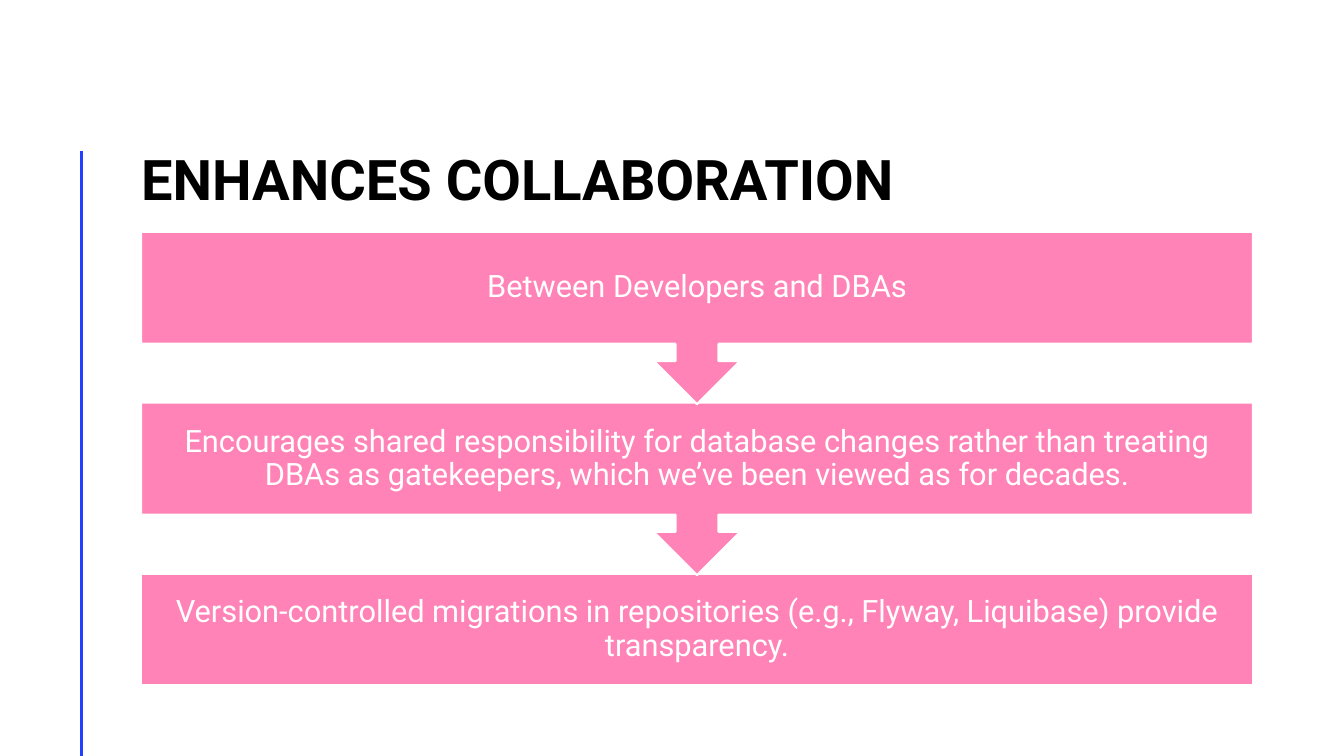
import dataclasses

import pptx
import pptx.dml.color
import pptx.enum.shapes
import pptx.enum.text
import pptx.oxml.ns
import pptx.util
from lxml import etree

SHAPE = pptx.enum.shapes.MSO_SHAPE
ANCHOR = pptx.enum.text.MSO_ANCHOR
ALIGN = pptx.enum.text.PP_ALIGN
COLS, ROWS = 133.33, 75


@dataclasses.dataclass(frozen=True)
class Theme:
    font: str = "Roboto"
    title_size: int = 40
    body_size: int = 22
    title: str = "000000"
    step: str = "FF83B6"
    on_step: str = "FFFFFF"
    rule: str = "2340FF"


def rgb(value):
    return pptx.dml.color.RGBColor.from_string(value)


class Deck:
    """Holds the theme and current slide; lengths are grid columns and rows."""

    def __init__(self, theme):
        self.theme = theme
        self.prs = pptx.Presentation()
        self.prs.slide_width = pptx.util.Inches(13.33)
        self.prs.slide_height = pptx.util.Inches(7.5)
        self.s = self.prs.slides.add_slide(self.prs.slide_layouts[5])

    def x(self, cols):
        return round(self.prs.slide_width * cols / COLS)

    def y(self, rows):
        return round(self.prs.slide_height * rows / ROWS)

    def box(self, left, top, width, height):
        return self.x(left), self.y(top), self.x(width), self.y(height)

    def set_text(self, sp, text, size, color, anchor, align, spacing, inset=0, bold=False):
        tf = sp.text_frame
        tf.word_wrap = True
        tf.auto_size = pptx.enum.text.MSO_AUTO_SIZE.NONE
        tf.vertical_anchor = anchor
        tf.margin_left = tf.margin_right = self.x(inset)
        tf.margin_top = tf.margin_bottom = self.y(inset)
        p = tf.paragraphs[0]
        p.alignment, p.line_spacing = align, spacing
        p.space_before = pptx.util.Pt(0)
        r = p.add_run()
        r.text = text
        r.font.name, r.font.bold = self.theme.font, bold
        r.font.size = pptx.util.Pt(size)
        r.font.color.rgb = rgb(color)

    def title(self, text, *cells):
        sp = self.s.shapes.title
        sp.left, sp.top, sp.width, sp.height = self.box(*cells)
        size = self.theme.title_size
        self.set_text(sp, text, size, self.theme.title, ANCHOR.BOTTOM, ALIGN.LEFT,
                      pptx.util.Pt(size), bold=True)

    def rule(self, col, top, bottom):
        line = self.s.shapes.add_connector(
            pptx.enum.shapes.MSO_CONNECTOR.STRAIGHT,
            self.x(col), self.y(top), self.x(col), self.y(bottom))
        line.line.color.rgb = rgb(self.theme.rule)
        line.line.width = pptx.util.Pt(2)
        etree.SubElement(line._element.spPr, pptx.oxml.ns.qn("a:effectLst"))

    def step(self, kind, text, *cells):
        sp = self.s.shapes.add_shape(kind, *self.box(*cells))
        sp.shadow.inherit = False
        sp.fill.solid()
        sp.fill.fore_color.rgb = rgb(self.theme.step)
        sp.line.color.rgb = rgb(self.theme.on_step)
        sp.line.width = pptx.util.Pt(1.5)
        self.set_text(sp, text, self.theme.body_size, self.theme.on_step,
                      ANCHOR.MIDDLE, ALIGN.CENTER, 0.9, inset=1.7)

    def flow(self, texts, left, top, width, pitch, box_height, callout_height):
        """Stack steps from the bottom up, so each arrow tip lies over the next box."""
        last = len(texts) - 1
        for i in range(last, -1, -1):
            kind, height = ((SHAPE.RECTANGLE, box_height) if i == last
                            else (SHAPE.DOWN_ARROW_CALLOUT, callout_height))
            self.step(kind, texts[i], left, top + i * pitch, width, height)


def main():
    left, width = 14, 110.3
    deck = Deck(Theme())
    deck.rule(8.1, 15, ROWS)
    deck.title("ENHANCES COLLABORATION", left, 7, width, 14)
    deck.flow([
        "Between Developers and DBAs",
        "Encourages shared responsibility for database changes rather than treating "
        "DBAs as gatekeepers, which we’ve been viewed as for decades.",
        "Version-controlled migrations in repositories (e.g., Flyway, Liquibase) "
        "provide transparency.",
    ], left, 23, width, pitch=16.95, box_height=11.1, callout_height=17.1)
    deck.prs.save("out.pptx")


if __name__ == "__main__":
    main()
